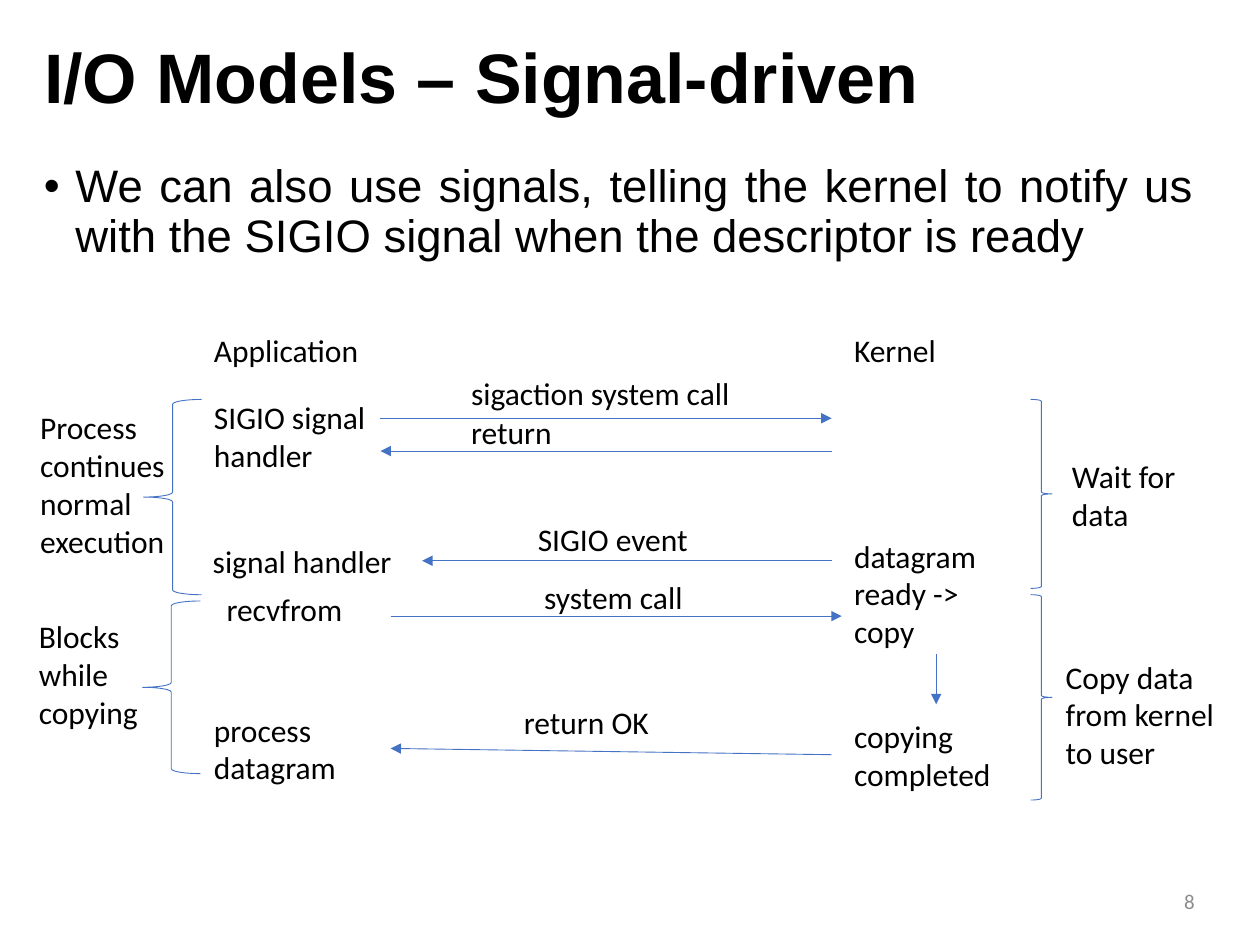
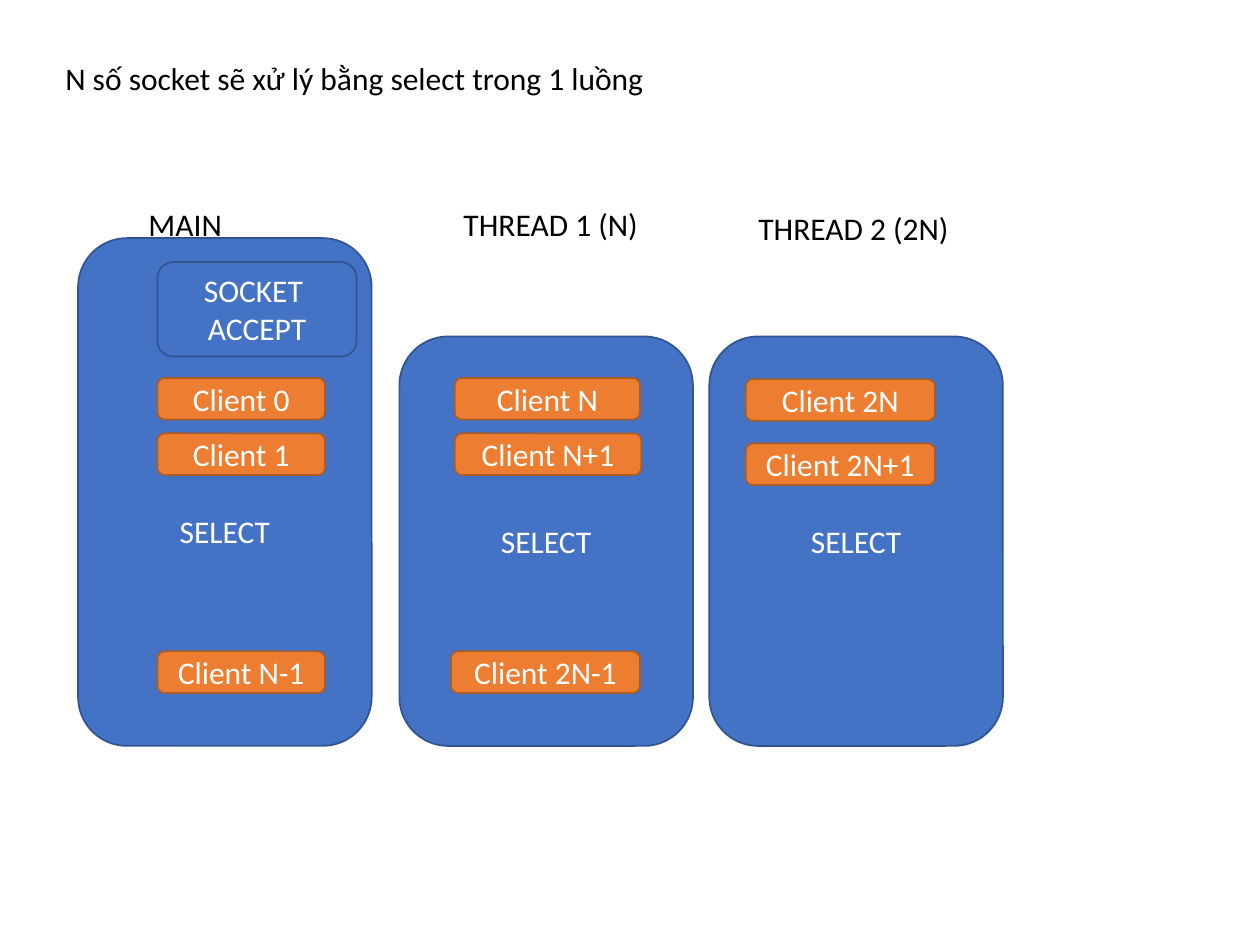
import dataclasses
import typing

import lxml.etree
import pptx
import pptx.dml.color
import pptx.enum.shapes
import pptx.enum.text
import pptx.oxml.ns
import pptx.util

Inches = pptx.util.Inches
Pt = pptx.util.Pt
RGB = pptx.dml.color.RGBColor.from_string
Align = pptx.enum.text.PP_ALIGN
Anchor = pptx.enum.text.MSO_ANCHOR
AutoSize = pptx.enum.text.MSO_AUTO_SIZE
Preset = pptx.enum.shapes.MSO_SHAPE
qn = pptx.oxml.ns.qn


@dataclasses.dataclass(frozen=True)
class Theme:
    heading_font: str = "Arial"
    label_font: str = "Calibri"
    text: str = "000000"
    muted: str = "8C8C8C"
    inverse: str = "FFFFFF"
    blue: str = "4472C4"
    blue_edge: str = "325491"
    orange: str = "ED7D31"
    orange_edge: str = "AF5C24"
    title_size: int = 40
    body_size: int = 26
    label_size: int = 18
    number_size: int = 12
    line_width: float = 0.5
    edge_width: float = 1


THEME = Theme()


class Label(typing.NamedTuple):
    text: str
    left: float
    top: float
    width: float = 1.5
    height: float = 0.4


class Arrow(typing.NamedTuple):
    x1: float
    y1: float
    x2: float
    y2: float


class Brace(typing.NamedTuple):
    preset: Preset
    left: float
    top: float
    width: float
    height: float


class Client(typing.NamedTuple):
    text: str
    left: float
    top: float
    width: float


class Panel(typing.NamedTuple):
    """A thread: its heading, its rounded panel and the clients inside."""
    heading: Label
    left: float
    top: float
    select_shift: float
    clients: tuple[Client, ...]


TWO_LINES, THREE_LINES, FOUR_LINES = 0.71, 1.01, 1.31
APP_X, KERNEL_X = 1.6, 6.68
CALL_X, KERNEL_EDGE = 3.02, 6.6

SIGNAL_LABELS = (
    Label("Application", APP_X, 2.58),
    Label("Kernel", KERNEL_X, 2.58),
    Label("SIGIO signal handler", APP_X, 3.11, height=TWO_LINES),
    Label("signal handler", 1.59, 4.25, 1.76),
    Label("recvfrom", 1.7, 4.63),
    Label("process datagram", APP_X, 5.59, height=TWO_LINES),
    Label("datagram ready -> copy", KERNEL_X, 4.21, height=THREE_LINES),
    Label("copying completed", KERNEL_X, 5.64, height=TWO_LINES),
    Label("sigaction system call", 3.64, 2.92, 2.37),
    Label("return", 3.64, 3.23, 2.35),
    Label("SIGIO event", 4.17, 4.08, 2),
    Label("system call", 4.22, 4.54, 1.75),
    Label("return OK", 4.06, 5.53),
    Label("Process continues normal execution", 0.22, 3.19, 1.39, FOUR_LINES),
    Label("Blocks while copying", 0.21, 4.85, 1.39, THREE_LINES),
    Label("Wait for data", 8.41, 3.58, height=TWO_LINES),
    Label("Copy data from kernel to user", 8.36, 5.17, height=THREE_LINES),
)

SIGNAL_ARROWS = (
    Arrow(CALL_X, 3.32, KERNEL_EDGE, 3.32),
    Arrow(KERNEL_EDGE, 3.58, CALL_X, 3.58),
    Arrow(KERNEL_EDGE, 4.45, 3.35, 4.45),
    Arrow(3.1, 4.89, KERNEL_X, 4.89),
    Arrow(7.43, 5.19, 7.43, 5.59),
    Arrow(KERNEL_EDGE, 5.99, 3.1, 5.94),
)

SIGNAL_BRACES = (
    Brace(Preset.LEFT_BRACE, 1.14, 3.17, 0.46, 1.55),
    Brace(Preset.LEFT_BRACE, 1.13, 4.77, 0.46, 1.37),
    Brace(Preset.RIGHT_BRACE, 8.18, 3.17, 0.17, 1.5),
    Brace(Preset.RIGHT_BRACE, 8.18, 4.72, 0.17, 1.63),
)

PANEL_WIDTH, PANEL_BOTTOM, CLIENT_HEIGHT = 2.33, 5.92, 0.33
PANELS = (
    Panel(Label("MAIN", 1.08, 1.58, 1.75), 0.62, 1.89, 0.61, (
        Client("Client 0", 1.25, 3, 1.33),
        Client("Client 1", 1.25, 3.44, 1.33),
        Client("Client N-1", 1.25, 5.17, 1.33))),
    Panel(Label("THREAD 1 (N)", 3.58, 1.58, 1.75), 3.17, 2.67, 0, (
        Client("Client N", 3.61, 3, 1.47),
        Client("Client N+1", 3.61, 3.44, 1.48),
        Client("Client 2N-1", 3.58, 5.17, 1.5))),
    Panel(Label("THREAD 2 (2N)", 5.92, 1.61, 1.75), 5.63, 2.67, 0, (
        Client("Client 2N", 5.92, 3.01, 1.5),
        Client("Client 2N+1", 5.92, 3.52, 1.5))),
)


def place(sp, left: float, top: float, width: float, height: float) -> None:
    sp.left, sp.top = Inches(left), Inches(top)
    sp.width, sp.height = Inches(width), Inches(height)


def add_run(p, text: str, size: int = THEME.label_size, color: str = THEME.text,
            font: str = THEME.label_font, bold: bool = False) -> None:
    r = p.add_run()
    r.text = text
    r.font.name, r.font.size, r.font.bold = font, Pt(size), bold
    r.font.color.rgb = RGB(color)


def add_box(slide, left: float, top: float, width: float, height: float):
    """Add an empty wrapping text box and return its text frame."""
    tf = slide.shapes.add_textbox(
        Inches(left), Inches(top), Inches(width), Inches(height)).text_frame
    tf.word_wrap = True
    return tf


def add_label(slide, label: Label) -> None:
    tf = add_box(slide, label.left, label.top, label.width, label.height)
    tf.auto_size = AutoSize.SHAPE_TO_FIT_TEXT
    add_run(tf.paragraphs[0], label.text)


def add_arrow(slide, arrow: Arrow) -> None:
    line = slide.shapes.add_connector(
        pptx.enum.shapes.MSO_CONNECTOR.STRAIGHT, *map(Inches, arrow))
    line.line.color.rgb = RGB(THEME.blue)
    line.line.width = Pt(THEME.line_width)
    lxml.etree.SubElement(line.line._get_or_add_ln(), qn("a:tailEnd"), type="triangle")
    lxml.etree.SubElement(line._element.spPr, qn("a:effectLst"))


def add_brace(slide, brace: Brace) -> None:
    sp = slide.shapes.add_shape(brace.preset, *map(Inches, brace[1:]))
    sp.shadow.inherit = False
    sp.fill.background()
    sp.line.color.rgb = RGB(THEME.blue)
    sp.line.width = Pt(THEME.line_width)


def add_round_box(slide, lines: tuple[str, ...], left: float, top: float, width: float,
                  height: float, fill: str = THEME.blue, edge: str = THEME.blue_edge):
    sp = slide.shapes.add_shape(Preset.ROUNDED_RECTANGLE, Inches(left), Inches(top),
                                Inches(width), Inches(height))
    sp.shadow.inherit = False
    sp.fill.solid()
    sp.fill.fore_color.rgb = RGB(fill)
    sp.line.color.rgb = RGB(edge)
    sp.line.width = Pt(THEME.edge_width)
    tf = sp.text_frame
    tf.vertical_anchor = Anchor.MIDDLE
    for i, text in enumerate(lines):
        p = tf.add_paragraph() if i else tf.paragraphs[0]
        p.alignment = Align.CENTER
        add_run(p, text, color=THEME.inverse)
    return sp


def set_title(slide, text: str) -> None:
    sp = slide.shapes.title
    place(sp, 0.25, 0.13, 9.33, 1.03)
    tf = sp.text_frame
    tf.auto_size, tf.vertical_anchor = AutoSize.NONE, Anchor.MIDDLE
    p = tf.paragraphs[0]
    p.alignment, p.line_spacing = Align.LEFT, 0.9
    add_run(p, text, THEME.title_size, font=THEME.heading_font, bold=True)


def add_bullet(slide, text: str) -> None:
    p = add_box(slide, 0.25, 1.25, 9.33, 5.51).paragraphs[0]
    p.alignment, p.line_spacing, p.space_before = Align.JUSTIFY, 0.9, Pt(10)
    pPr = p._p.get_or_add_pPr()
    pPr.set("marL", str(Inches(0.25)))
    pPr.set("indent", str(-Inches(0.25)))
    lxml.etree.SubElement(pPr, qn("a:buFont"), typeface=THEME.heading_font)
    lxml.etree.SubElement(pPr, qn("a:buChar"), char="•")
    add_run(p, text, THEME.body_size, font=THEME.heading_font)


def add_page_number(slide, number: int) -> None:
    tf = add_box(slide, 7.06, 6.95, 2.52, 0.4)
    tf.vertical_anchor = Anchor.MIDDLE
    tf.paragraphs[0].alignment = Align.RIGHT
    add_run(tf.paragraphs[0], str(number), THEME.number_size, THEME.muted)


def add_panel(slide, panel: Panel) -> None:
    sp = add_round_box(slide, ("SELECT",), panel.left, panel.top,
                       PANEL_WIDTH, PANEL_BOTTOM - panel.top)
    sp.text_frame.margin_top = Inches(0.05 + panel.select_shift)
    add_label(slide, panel.heading)
    for c in panel.clients:
        add_round_box(slide, (c.text,), c.left, c.top, c.width, CLIENT_HEIGHT,
                      THEME.orange, THEME.orange_edge)


def build_signal_slide(prs) -> None:
    slide = prs.slides.add_slide(prs.slide_layouts.get_by_name("Title Only"))
    set_title(slide, "I/O Models – Signal-driven")
    add_bullet(slide, "We can also use signals, telling the kernel to notify us "
                      "with the SIGIO signal when the descriptor is ready")
    add_page_number(slide, 8)
    for label in SIGNAL_LABELS:
        add_label(slide, label)
    for arrow in SIGNAL_ARROWS:
        add_arrow(slide, arrow)
    for brace in SIGNAL_BRACES:
        add_brace(slide, brace)


def build_threads_slide(prs) -> None:
    slide = prs.slides.add_slide(prs.slide_layouts.get_by_name("Blank"))
    add_label(slide, Label("N số socket sẽ xử lý bằng select trong 1 luồng", 0.42, 0.42, 8.42))
    for panel in PANELS:
        add_panel(slide, panel)
    add_round_box(slide, ("SOCKET ", "ACCEPT"), 1.25, 2.08, 1.58, 0.75)


def main() -> None:
    prs = pptx.Presentation()
    prs.slide_width, prs.slide_height = Inches(10), Inches(7.5)
    build_signal_slide(prs)
    build_threads_slide(prs)
    prs.save("out.pptx")


if __name__ == "__main__":
    main()
